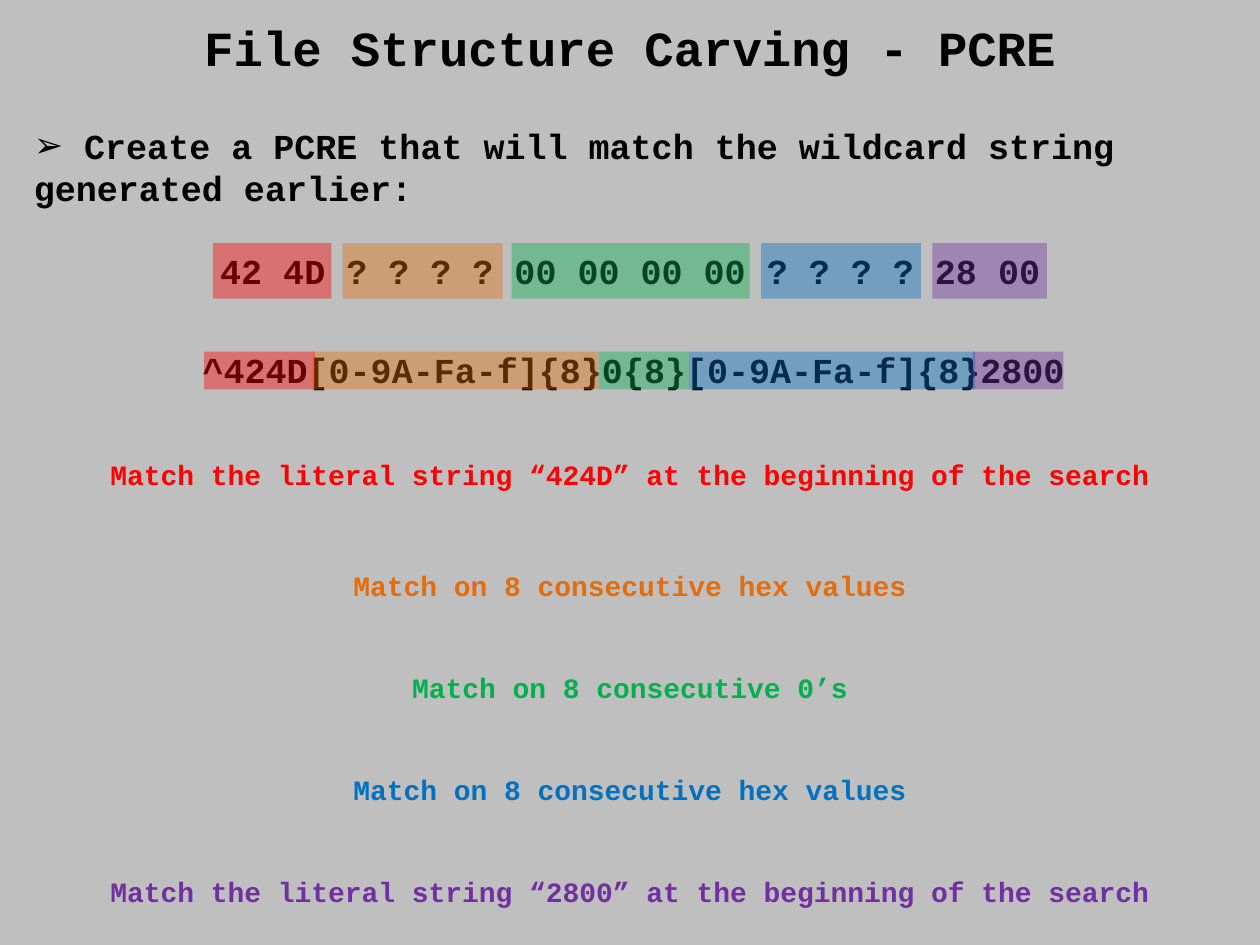
from lxml import etree
from pptx import Presentation
from pptx.dml.color import RGBColor
from pptx.enum.shapes import MSO_SHAPE as Shape
from pptx.enum.text import MSO_ANCHOR as Anchor, MSO_AUTO_SIZE as AutoSize, PP_ALIGN as Align
from pptx.oxml.ns import qn
from pptx.util import Inches, Pt

COLORS = {
    "background": "BFBFBF",
    "text": "000000",
    "start": "FF0000",
    "first wildcard": "E46C0A",
    "zeros": "00B050",
    "second wildcard": "0070C0",
    "end": "7030A0",
}
PARTS = ["start", "first wildcard", "zeros", "second wildcard", "end"]
OPACITY = 40

presentation = Presentation()
presentation.slide_width, presentation.slide_height = Inches(10), Inches(7.5)
slide = presentation.slides.add_slide(presentation.slide_layouts[5])
slide.background.fill.solid()
slide.background.fill.fore_color.rgb = RGBColor.from_string(COLORS["background"])


def write(shape, text, size, color="text", align=Align.CENTER):
    paragraph = shape.text_frame.paragraphs[0]
    paragraph.text = text
    paragraph.alignment = align
    font = paragraph.font
    font.name, font.size, font.bold = "Courier New", Pt(size), True
    font.color.rgb = RGBColor.from_string(COLORS[color])


def add_line(left, top, width, height, *text_style):
    """Add a text box that holds one unwrapped line."""
    box = slide.shapes.add_textbox(*map(Inches, (left, top, width, height)))
    box.text_frame.word_wrap = False
    box.text_frame.auto_size = AutoSize.SHAPE_TO_FIT_TEXT
    write(box, *text_style)


title = slide.shapes.title
title.left, title.top, title.width, title.height = map(Inches, (0.55, 0.05, 8.9, 0.64))
title.text_frame.auto_size = AutoSize.NONE
title.text_frame.vertical_anchor = Anchor.MIDDLE
write(title, "File Structure Carving - PCRE", 28)

# Task
task = slide.shapes.add_textbox(*map(Inches, (0.17, 0.94, 9.66, 0.96)))
task.text_frame.word_wrap = True
properties = task.text_frame.paragraphs[0]._p.get_or_add_pPr()
properties.set("marL", "0")
properties.set("indent", "0")
etree.SubElement(properties, qn("a:buFont"), typeface="Arial")
etree.SubElement(properties, qn("a:buChar"), char="➢")
write(task, " Create a PCRE that will match the wildcard string generated earlier:",
      20, "text", Align.LEFT)

# Wildcard string and the expression that matches it
add_line(1.62, 1.93, 6.77, 0.44, "42 4D ? ? ? ? 00 00 00 00 ? ? ? ? 28 00", 20)
add_line(1.51, 2.72, 7.1, 0.44, "^424D[0-9A-Fa-f]{8}0{8}[0-9A-Fa-f]{8}2800", 20,
         "text", Align.LEFT)

# Highlights: top, height, then left and width of each part
highlight_rows = [
    (1.93, 0.44, [(1.69, 0.94), (2.72, 1.27), (4.06, 1.89), (6.04, 1.27), (7.4, 0.91)]),
    (2.79, 0.3, [(1.62, 0.88), (2.48, 2.27), (4.75, 0.72), (5.47, 2.27), (7.72, 0.72)]),
]
for top, height, spans in highlight_rows:
    for part, (left, width) in zip(PARTS, spans):
        highlight = slide.shapes.add_shape(
            Shape.RECTANGLE, *map(Inches, (left, top, width, height)))
        highlight.shadow.inherit = False
        highlight.line.fill.background()
        highlight.fill.solid()
        highlight.fill.fore_color.rgb = RGBColor.from_string(COLORS[part])
        color = highlight._element.spPr.find(".//" + qn("a:srgbClr"))
        etree.SubElement(color, qn("a:alpha"), val=str(OPACITY * 1000))

# Explanations, centred on the slide
explanations = [
    (3.58, 8.57, "Match the literal string “424D” at the beginning of the search"),
    (4.46, 4.66, "Match on 8 consecutive hex values"),
    (5.27, 3.71, "Match on 8 consecutive 0’s"),
    (6.08, 4.66, "Match on 8 consecutive hex values"),
    (6.89, 8.57, "Match the literal string “2800” at the beginning of the search"),
]
for part, (top, width, text) in zip(PARTS, explanations):
    add_line((10 - width) / 2, top, width, 0.37, text, 16, part)

presentation.save("out.pptx")
